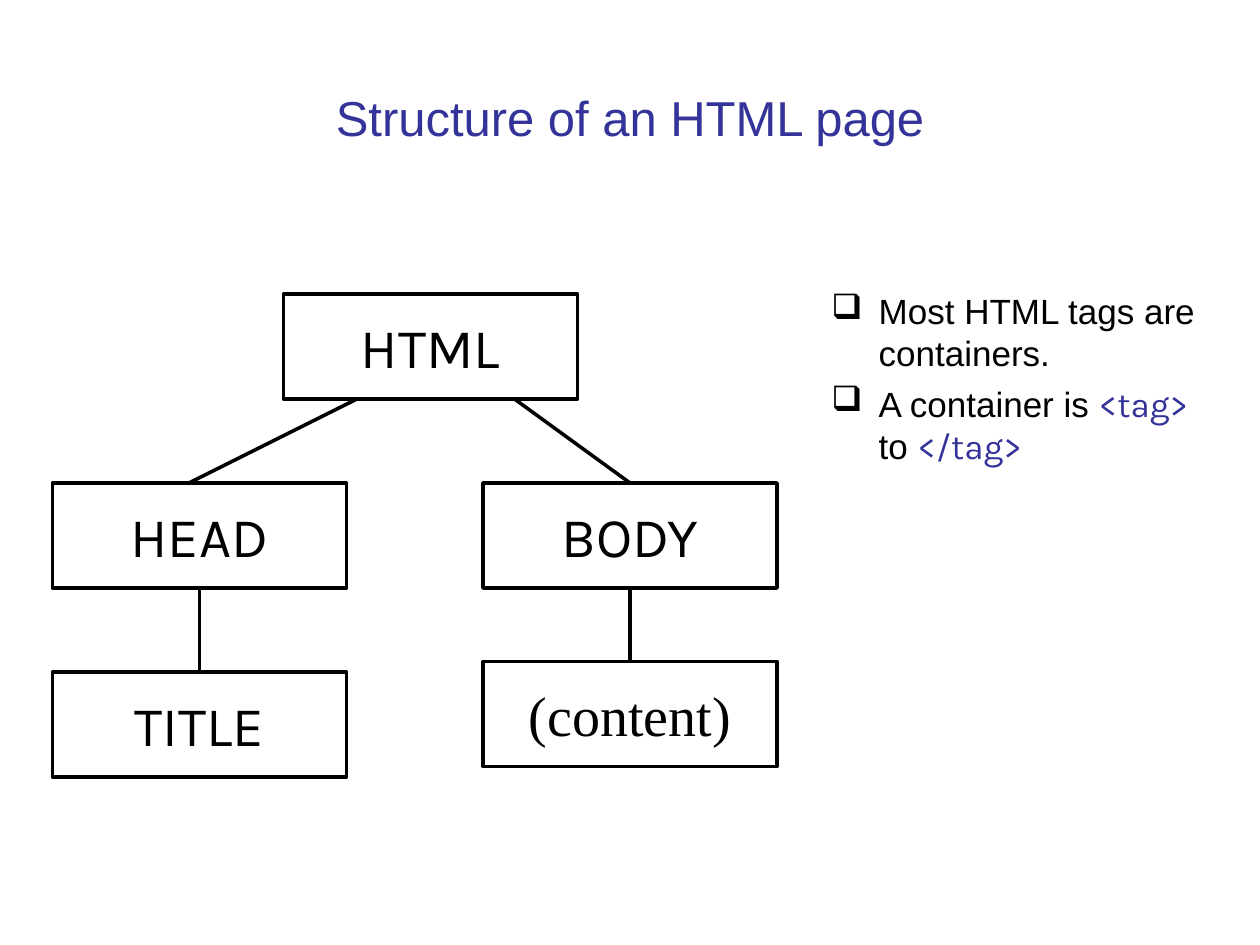
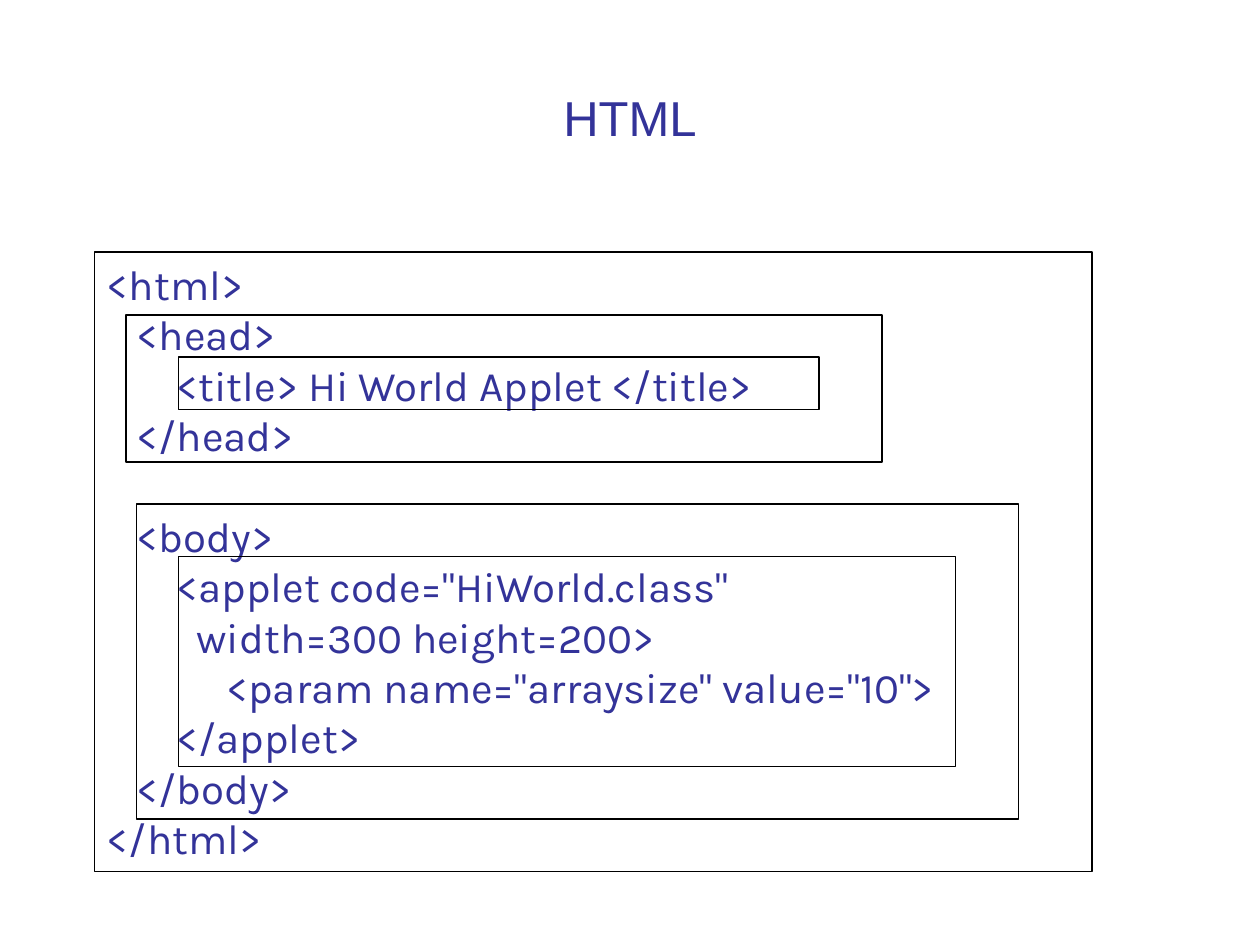
from typing import NamedTuple

from lxml import etree
from pptx import Presentation
from pptx.dml.color import RGBColor
from pptx.enum.shapes import MSO_CONNECTOR, MSO_SHAPE
from pptx.enum.text import MSO_ANCHOR, MSO_AUTO_SIZE, PP_ALIGN
from pptx.oxml.ns import qn
from pptx.util import Emu, Pt

EMU_PER_PX = 9525  # 96 px to the inch
BLACK, INDIGO = "000000", "333399"
SANS, CODE_FONT, SERIF = "Arial", "Karla", "Times New Roman"
LINE_PITCH = 1.2  # line height as a multiple of the text size
NODE_WIDTH, NODE_HEIGHT = 224, 80


class Node(NamedTuple):
    label: str
    left: int
    top: int
    font: str = CODE_FONT


class Link(NamedTuple):
    x1: int
    y1: int
    x2: int
    y2: int


class Frame(NamedTuple):
    left: int
    top: int
    width: int
    height: int


class Piece(NamedTuple):
    text: str
    is_code: bool = False


NODES = [
    Node("HTML", 216, 224),
    Node("HEAD", 40, 368),
    Node("TITLE", 40, 512),
    Node("BODY", 368, 368),
    Node("(content)", 368, 504, SERIF),
]
LINKS = [
    Link(272, 304, 144, 368),
    Link(392, 304, 480, 368),
    Link(152, 448, 152, 512),
    Link(480, 448, 480, 504),
]
BULLETS = [
    [Piece("Most HTML tags are containers.")],
    [Piece("A container is "), Piece("<tag>", True),
     Piece(" to "), Piece("</tag>", True)],
]
BODY_LINE = "   <body>"
CODE = [
    "<html>",
    "   <head>",
    "       <title> Hi World Applet </title>",
    "   </head>",
    BODY_LINE,
    '       <applet code="HiWorld.class"\v         width=300 height=200>',
    '            <param name="arraysize" value="10">\v       </applet>',
    "   </body>",
    "</html>",
]
ELEMENT_FRAMES = [
    Frame(72, 192, 760, 472),   # html
    Frame(96, 240, 576, 112),   # head
    Frame(136, 272, 488, 40),   # title
    Frame(104, 384, 672, 240),  # body
    Frame(136, 424, 592, 160),  # applet
]


def px(length: int) -> Emu:
    return Emu(length * EMU_PER_PX)


def color(value: str) -> RGBColor:
    return RGBColor.from_string(value)


def format_runs(paragraph, font_name: str, size: int, font_color: str) -> None:
    for run in paragraph.runs:
        run.font.name = font_name
        run.font.size = Pt(size)
        run.font.color.rgb = color(font_color)


def add_titled_slide(presentation, title: str):
    slide = presentation.slides.add_slide(presentation.slide_layouts[5])
    shape = slide.shapes.title
    shape.left, shape.top, shape.width, shape.height = map(px, (48, 29, 864, 120))
    text_frame = shape.text_frame
    text_frame.text = title
    text_frame.auto_size = MSO_AUTO_SIZE.NONE
    text_frame.vertical_anchor = MSO_ANCHOR.MIDDLE
    text_frame.paragraphs[0].alignment = PP_ALIGN.CENTER
    format_runs(text_frame.paragraphs[0], SANS, 28, INDIGO)
    return slide


def add_outline(slide, frame: Frame, line_width: int):
    shape = slide.shapes.add_shape(MSO_SHAPE.RECTANGLE, *map(px, frame))
    shape.shadow.inherit = False
    shape.fill.background()
    shape.line.color.rgb = color(BLACK)
    shape.line.width = Pt(line_width)
    return shape


def add_node(slide, node: Node) -> None:
    frame = Frame(node.left, node.top, NODE_WIDTH, NODE_HEIGHT)
    text_frame = add_outline(slide, frame, 2).text_frame
    text_frame.text = node.label
    text_frame.word_wrap = False
    text_frame.vertical_anchor = MSO_ANCHOR.MIDDLE
    text_frame.paragraphs[0].alignment = PP_ALIGN.CENTER
    format_runs(text_frame.paragraphs[0], node.font, 32, BLACK)


def add_link(slide, link: Link) -> None:
    connector = slide.shapes.add_connector(MSO_CONNECTOR.STRAIGHT, *map(px, link))
    connector.line.color.rgb = color(BLACK)
    connector.line.width = Pt(2)
    etree.SubElement(connector._element.spPr, qn("a:effectLst"))


def add_text_box(slide, frame: Frame):
    text_frame = slide.shapes.add_textbox(*map(px, frame)).text_frame
    text_frame.word_wrap = True
    return text_frame


def next_paragraph(text_frame, index: int, size: int):
    paragraph = text_frame.add_paragraph() if index else text_frame.paragraphs[0]
    paragraph.line_spacing = Pt(size * LINE_PITCH)
    return paragraph


def set_bullet(paragraph, symbol: str, indent: int) -> None:
    properties = paragraph._p.get_or_add_pPr()
    properties.set("marL", str(px(indent)))
    properties.set("indent", str(-px(indent)))
    bullet_color = etree.SubElement(properties, qn("a:buClr"))
    etree.SubElement(bullet_color, qn("a:srgbClr"), val=BLACK)
    etree.SubElement(properties, qn("a:buChar"), char=symbol)


def build_structure_slide(presentation) -> None:
    slide = add_titled_slide(presentation, "Structure of an HTML page")
    # Tree of page elements
    for node in NODES:
        add_node(slide, node)
    for link in LINKS:
        add_link(slide, link)
    # Notes on containers
    text_frame = add_text_box(slide, Frame(624, 216, 320, 432))
    for index, pieces in enumerate(BULLETS):
        paragraph = next_paragraph(text_frame, index, 20)
        if index:
            paragraph.space_before = Pt(5)
        set_bullet(paragraph, "❑", 36)
        for piece in pieces:
            paragraph.add_run().text = piece.text
        format_runs(paragraph, SANS, 20, BLACK)
        for run, piece in zip(paragraph.runs, pieces):
            if piece.is_code:
                run.font.name = CODE_FONT
                run.font.color.rgb = color(INDIGO)


def build_code_slide(presentation) -> None:
    slide = add_titled_slide(presentation, "HTML")
    # Code listing, with a one-line gap above the body
    text_frame = add_text_box(slide, Frame(72, 192, 792, 470))
    for index, code_line in enumerate(CODE):
        paragraph = next_paragraph(text_frame, index, 24)
        paragraph.text = code_line
        if code_line == BODY_LINE:
            paragraph.space_before = Pt(24 * LINE_PITCH)
        format_runs(paragraph, CODE_FONT, 24, INDIGO)
    # Frames around the nested elements
    for frame in ELEMENT_FRAMES:
        add_outline(slide, frame, 1)


def main() -> None:
    presentation = Presentation()
    presentation.slide_width, presentation.slide_height = px(960), px(720)
    build_structure_slide(presentation)
    build_code_slide(presentation)
    presentation.save("out.pptx")


if __name__ == "__main__":
    main()
